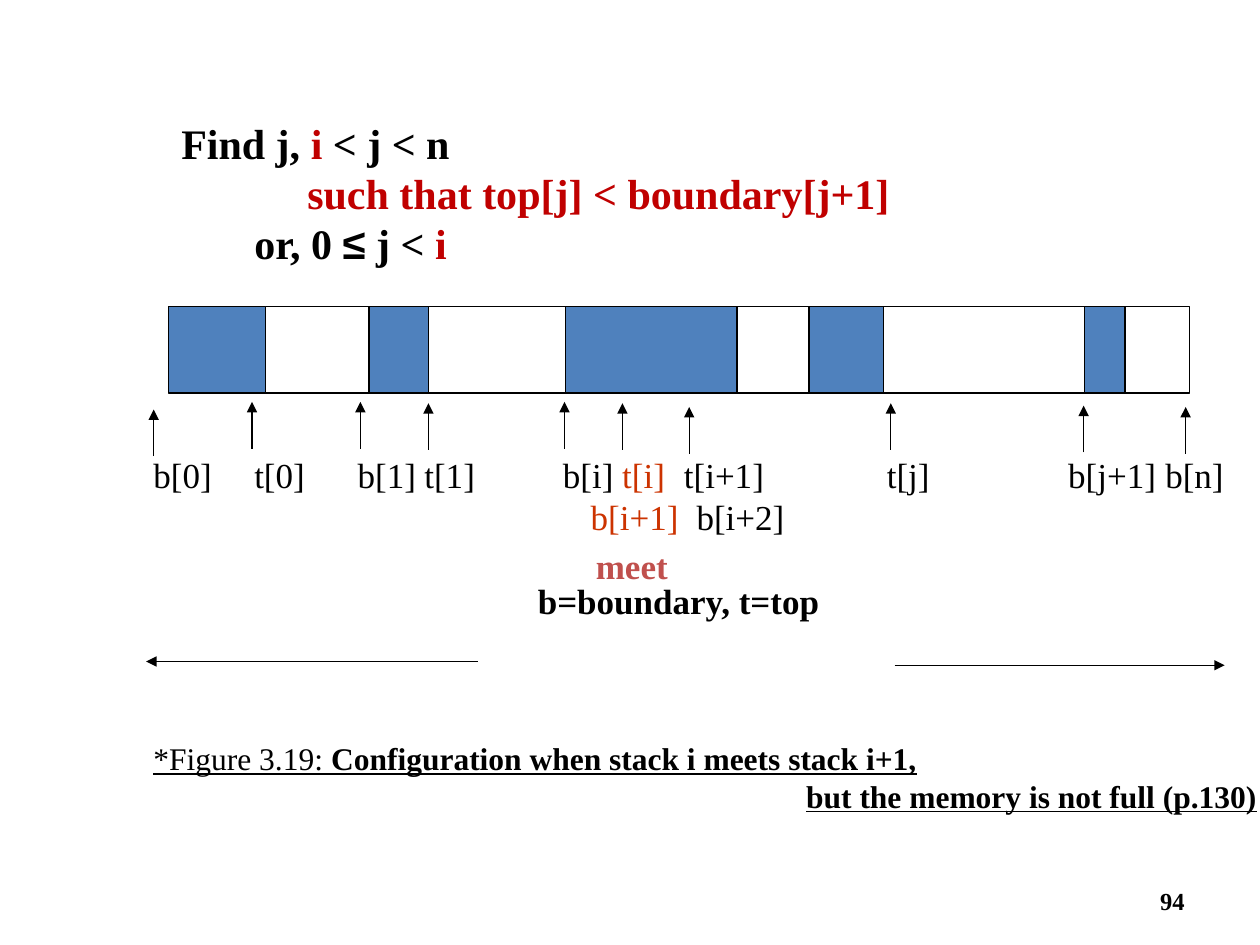
"""Build the slide on stack i meeting stack i+1 while memory is not full."""
import pptx
import pptx.dml.color
import pptx.enum.shapes
import pptx.enum.text
import pptx.oxml
import pptx.oxml.ns
import pptx.util
from pptx.util import Inches

BLACK = pptx.dml.color.RGBColor(0x00, 0x00, 0x00)
BLUE = pptx.dml.color.RGBColor(0x4F, 0x81, 0xBD)
RED = pptx.dml.color.RGBColor(0xC0, 0x00, 0x00)
ORANGE = pptx.dml.color.RGBColor(0xCC, 0x33, 0x00)
ROSE = pptx.dml.color.RGBColor(0xC0, 0x50, 0x4D)
LEFT = pptx.enum.text.PP_ALIGN.LEFT
MEMORY_TOP, MEMORY_HEIGHT = 2.43, 0.69
STACKS = [(1.34, 0.77), (2.93, 0.47), (4.49, 1.36), (6.42, 0.59), (8.61, 0.32)]
POINTERS = [(1.22, 3.25), (2, 3.19), (2.86, 3.19), (3.4, 3.2), (4.48, 3.19),
            (4.94, 3.2), (5.47, 3.23), (7.07, 3.2), (8.6, 3.22), (9.41, 3.23)]
POINTER_LENGTH = 0.37


def add_memory(slide, left, width, color=None):
    """Draw one memory block, outlined and optionally filled."""
    block = slide.shapes.add_shape(
        pptx.enum.shapes.MSO_SHAPE.RECTANGLE, Inches(left), Inches(MEMORY_TOP),
        Inches(width), Inches(MEMORY_HEIGHT))
    block.shadow.inherit = False
    if color is None:
        block.fill.background()
    else:
        block.fill.solid()
        block.fill.fore_color.rgb = color
    block.line.color.rgb = BLACK
    block.line.width = pptx.util.Pt(0.75)


def add_arrow(slide, start, end):
    """Draw a thin black arrow from start to end."""
    arrow = slide.shapes.add_connector(
        pptx.enum.shapes.MSO_CONNECTOR.STRAIGHT,
        *[Inches(length) for length in (*start, *end)])
    arrow.line.color.rgb = BLACK
    arrow.line.width = pptx.util.Pt(0.75)
    head = pptx.oxml.parse_xml(
        f'<a:tailEnd {pptx.oxml.ns.nsdecls("a")} type="triangle"/>')
    arrow.line._get_or_add_ln().append(head)
    arrow._element.spPr.append(
        pptx.oxml.parse_xml(f'<a:effectLst {pptx.oxml.ns.nsdecls("a")}/>'))


def add_box(slide, left, top, width, height, right_inset=0.0):
    """Add a wrapping text box and return its frame."""
    frame = slide.shapes.add_textbox(
        Inches(left), Inches(top), Inches(width), Inches(height)).text_frame
    frame.word_wrap = True
    frame.margin_right = Inches(right_inset)
    return frame


def add_line(frame, runs, size, bold=None, underline=None, color=BLACK,
             align=LEFT, indent=0.0, tabs=(), before=0):
    """Write a paragraph of (text, overrides) runs into the frame."""
    line = frame.paragraphs[0]
    if line.runs:
        line = frame.add_paragraph()
    properties = line._p.get_or_add_pPr()
    if indent:
        properties.set("marL", str(Inches(indent)))
    if tabs:
        stops = "".join(f'<a:tab pos="{Inches(tab)}" algn="l"/>' for tab in tabs)
        properties.append(pptx.oxml.parse_xml(
            f'<a:tabLst {pptx.oxml.ns.nsdecls("a")}>{stops}</a:tabLst>'))
    line.alignment = align
    line.line_spacing = pptx.util.Pt(size * 1.2)
    if before:
        line.space_before = pptx.util.Pt(before)
    line.font.name = "Times New Roman"
    line.font.size = pptx.util.Pt(size)
    line.font.bold = bold
    line.font.underline = underline
    line.font.color.rgb = color
    for text, overrides in runs:
        run = line.add_run()
        run.text = text
        if "color" in overrides:
            run.font.color.rgb = overrides["color"]
        if "font" in overrides:
            run.font.name = overrides["font"]
        if "bold" in overrides:
            run.font.bold = overrides["bold"]


def add_condition(slide):
    """Write the search condition for j."""
    frame = add_box(slide, 1.34, 0.88, 5.82, 1.3)
    red = {"color": RED}
    add_line(frame, [("Find j, ", {}), ("i", red), (" < j < n", {})], 24, bold=True)
    add_line(frame, [("such that top[j] < boundary[j+1]", {})], 24, bold=True,
             color=RED, indent=1)
    add_line(frame, [("or, 0 ", {}), ("≤", {"font": "Arial"}), (" j < ", {}),
                     ("i", red)], 24, bold=True, indent=0.58)


def add_labels(slide):
    """Write the pointer labels, the legend and the figure caption."""
    frame = add_box(slide, 1.12, 3.55, 8.96, 2.97)
    orange = {"color": ORANGE}
    add_line(frame, [("b[0]\tt[0]\tb[1]\tt[1]\tb[i]\t", {}), ("t[i]", orange),
                     ("\tt[i+1]\tt[j]\tb[j+1]\tb[n]", {})], 20,
             tabs=(0.8, 1.62, 2.15, 3.25, 3.72, 4.21, 5.82, 7.26, 8.03))
    add_line(frame, [("\t", {}), ("b[i+1]", orange), ("\tb[i+2]", {})], 20,
             tabs=(3.47, 4.31))
    add_line(frame, [("b=boundary, t=top", {})], 20, bold=True, indent=3.05,
             before=24)
    add_line(frame, [("*Figure 3.19: ", {}),
                     ("Configuration when stack i meets stack i+1,", {"bold": True})],
             18, underline=True, before=67)
    add_line(frame, [("but the memory is not full (p.130)", {})], 18, bold=True,
             underline=True, indent=5.18)


def main():
    """Assemble and save the slide."""
    deck = pptx.Presentation()
    deck.slide_width, deck.slide_height = Inches(10), Inches(7.5)
    slide = deck.slides.add_slide(deck.slide_layouts[6])

    page = add_box(slide, 7.17, 6.95, 2.33, 0.4, right_inset=0.1)
    page.vertical_anchor = pptx.enum.text.MSO_ANCHOR.MIDDLE
    add_line(page, [("94", {})], 14, bold=True, align=pptx.enum.text.PP_ALIGN.RIGHT)

    add_memory(slide, 1.36, 8.08)
    for left, width in STACKS:
        add_memory(slide, left, width, BLUE)
    for x, tip in POINTERS:
        add_arrow(slide, (x, tip + POINTER_LENGTH), (x, tip))

    add_labels(slide)
    add_condition(slide)
    meeting = add_box(slide, 4.63, 4.27, 0.77, 0.44, right_inset=0.1)
    add_line(meeting, [("meet", {})], 20, bold=True, color=ROSE,
             align=pptx.enum.text.PP_ALIGN.CENTER)

    add_arrow(slide, (3.79, 5.25), (1.16, 5.25))
    add_arrow(slide, (7.1, 5.28), (9.72, 5.28))
    deck.save("out.pptx")


if __name__ == "__main__":
    main()
